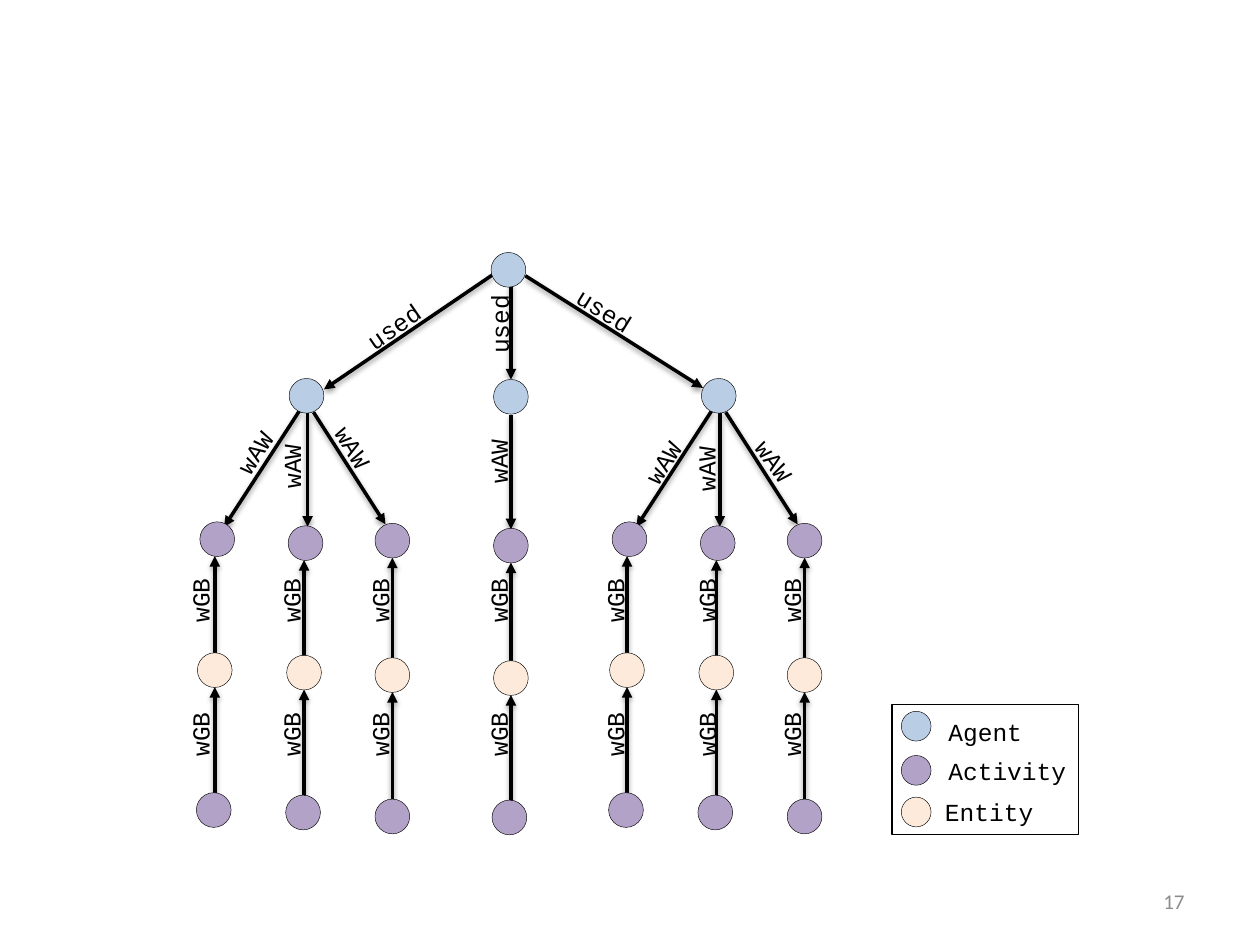
from lxml import etree
from pptx import Presentation
from pptx.dml.color import RGBColor
from pptx.enum.shapes import MSO_CONNECTOR, MSO_SHAPE
from pptx.enum.text import MSO_ANCHOR, MSO_AUTO_SIZE, PP_ALIGN
from pptx.oxml.ns import nsdecls, qn
from pptx.util import Cm, Pt

COLORS = {
    "agent": "B9CDE5", "activity": "B3A2C7", "entity": "FDEADA",
    "black": "000000", "white": "FFFFFF", "grey": "8C8C8C",
}
SHADOW = (
    f'<a:effectLst {nsdecls("a")}>'
    '<a:outerShdw blurRad="40000" dist="20000" dir="5400000" rotWithShape="0">'
    '<a:srgbClr val="000000"><a:alpha val="38000"/></a:srgbClr>'
    '</a:outerShdw></a:effectLst>'
)
NODE_SIZE = 0.7
LEGEND_SIZE = 0.6
LABEL_HEIGHT = 0.86
BRANCH_GAP = 8.31  # from the left branch to the right one

deck = Presentation()
deck.slide_width, deck.slide_height = Cm(25.4), Cm(19.05)
slide = deck.slides.add_slide(deck.slide_layouts[6])


def add_shape(kind, left, top, width, height, color, weight):
    shape = slide.shapes.add_shape(kind, Cm(left), Cm(top), Cm(width), Cm(height))
    shape.shadow.inherit = False
    shape.fill.solid()
    shape.fill.fore_color.rgb = RGBColor.from_string(COLORS[color])
    shape.line.color.rgb = RGBColor.from_string(COLORS["black"])
    shape.line.width = Pt(weight)


def add_text(text, left, top, width, height, font="Courier New", size=14,
             color="black", rotation=0, **frame_format):
    box = slide.shapes.add_textbox(Cm(left), Cm(top), Cm(width), Cm(height))
    box.rotation = rotation
    for name, value in frame_format.items():
        setattr(box.text_frame, name, value)
    para = box.text_frame.paragraphs[0]
    span = para.add_run()
    span.text = text
    for name, value in {"name": font, "size": Pt(size)}.items():
        setattr(span.font, name, value)
    span.font.color.rgb = RGBColor.from_string(COLORS[color])
    return para


# Slide number
number = add_text("17", 18.21, 17.65, 5.92, 1.02, font="Calibri", size=12,
                  color="grey", word_wrap=True, vertical_anchor=MSO_ANCHOR.MIDDLE)
number.alignment = PP_ALIGN.RIGHT

# Agents: centre x, y
nodes = [("agent", 10.25, 5.44), ("agent", 6.18, 7.98),
         ("agent", 10.3, 8.0), ("agent", 6.18 + BRANCH_GAP, 7.98)]

# Arrows between agents and down to activities: start x, y, end x, y
arrows = [(9.93, 5.54, 6.53, 7.85), (10.3, 5.72, 10.3, 7.65),
          (10.59, 5.56, 14.17, 7.82), (10.3, 8.36, 10.3, 10.67)]
for shift in (0, BRANCH_GAP):
    for start_x, start_y, end_x, end_y in (
            (6.05, 8.26, 4.52, 10.62), (6.2, 8.28, 6.2, 10.62),
            (6.32, 8.31, 7.77, 10.57)):
        arrows.append((start_x + shift, start_y, end_x + shift, end_y))

# Labels of those arrows: text, centre x, y, rotation
labels = [
    ("used", 7.94, 6.58, 325.3), ("used", 10.07, 6.53, 270), ("used", 12.19, 6.26, 31.6),
    ("wAW", 5.14, 9.12, 303.6), ("wAW", 5.88, 9.4, 270), ("wAW", 7.12, 9.02, 58.8),
    ("wAW", 10.05, 9.3, 270),
    ("wAW", 13.37, 9.32, 303.6), ("wAW", 14.24, 9.45, 270), ("wAW", 15.61, 9.3, 54.2),
]

# Chains: x of activity, entity, activity; their y; x of the labels
side_chains = [
    ((4.38, 4.33, 4.31), (10.87, 13.51, 16.33), (4.04, 12.4)),
    ((6.16, 6.13, 6.11), (10.95, 13.56, 16.38), (5.87, 14.25)),
    ((7.91, 7.91, 7.91), (10.9, 13.61, 16.46), (7.66, 15.96)),
]
chains = [((10.3, 10.3, 10.27), (11.0, 13.67, 16.48), 10.05)]
for columns, rows, label_columns in side_chains:
    for shift, label_x in zip((0, BRANCH_GAP), label_columns):
        chains.append(([x + shift for x in columns], rows, label_x))

for columns, rows, label_x in chains:
    nodes += zip(("activity", "entity", "activity"), columns, rows)
    for upper_y, lower_y, label_y in zip(rows, rows[1:], (12.1, 14.8)):
        arrows.append((columns[1], lower_y, columns[1], upper_y + 0.34))
        labels.append(("wGB", label_x, label_y, 270))

# Draw arrows, then nodes over their ends, then labels
for ends in arrows:
    arrow = slide.shapes.add_connector(MSO_CONNECTOR.STRAIGHT, *map(Cm, ends))
    arrow.line.color.rgb = RGBColor.from_string(COLORS["black"])
    arrow.line.width = Pt(2)
    properties = arrow._element.spPr
    etree.SubElement(properties.find(qn("a:ln")), qn("a:tailEnd"), type="triangle")
    properties.append(etree.fromstring(SHADOW))

for kind, x, y in nodes:
    add_shape(MSO_SHAPE.OVAL, x - NODE_SIZE / 2, y - NODE_SIZE / 2,
              NODE_SIZE, NODE_SIZE, kind, 0.25)

for text, x, y, rotation in labels:
    width = 1.7 if text == "used" else 1.4
    add_text(text, x - width / 2, y - LABEL_HEIGHT / 2, width, LABEL_HEIGHT,
             rotation=rotation, word_wrap=False,
             auto_size=MSO_AUTO_SIZE.SHAPE_TO_FIT_TEXT)

# Legend
add_shape(MSO_SHAPE.RECTANGLE, 17.98, 14.2, 3.76, 2.62, "white", 0.75)
for name, circle_y, text_left, text_top in (
        ("Agent", 14.64, 18.87, 14.33), ("Activity", 15.53, 18.87, 15.11),
        ("Entity", 16.37, 18.8, 15.95)):
    add_shape(MSO_SHAPE.OVAL, 18.17, circle_y - LEGEND_SIZE / 2,
              LEGEND_SIZE, LEGEND_SIZE, name.lower(), 0.25)
    add_text(name, text_left, text_top, 4.34, LABEL_HEIGHT, word_wrap=True,
             auto_size=MSO_AUTO_SIZE.SHAPE_TO_FIT_TEXT)

deck.save("out.pptx")
